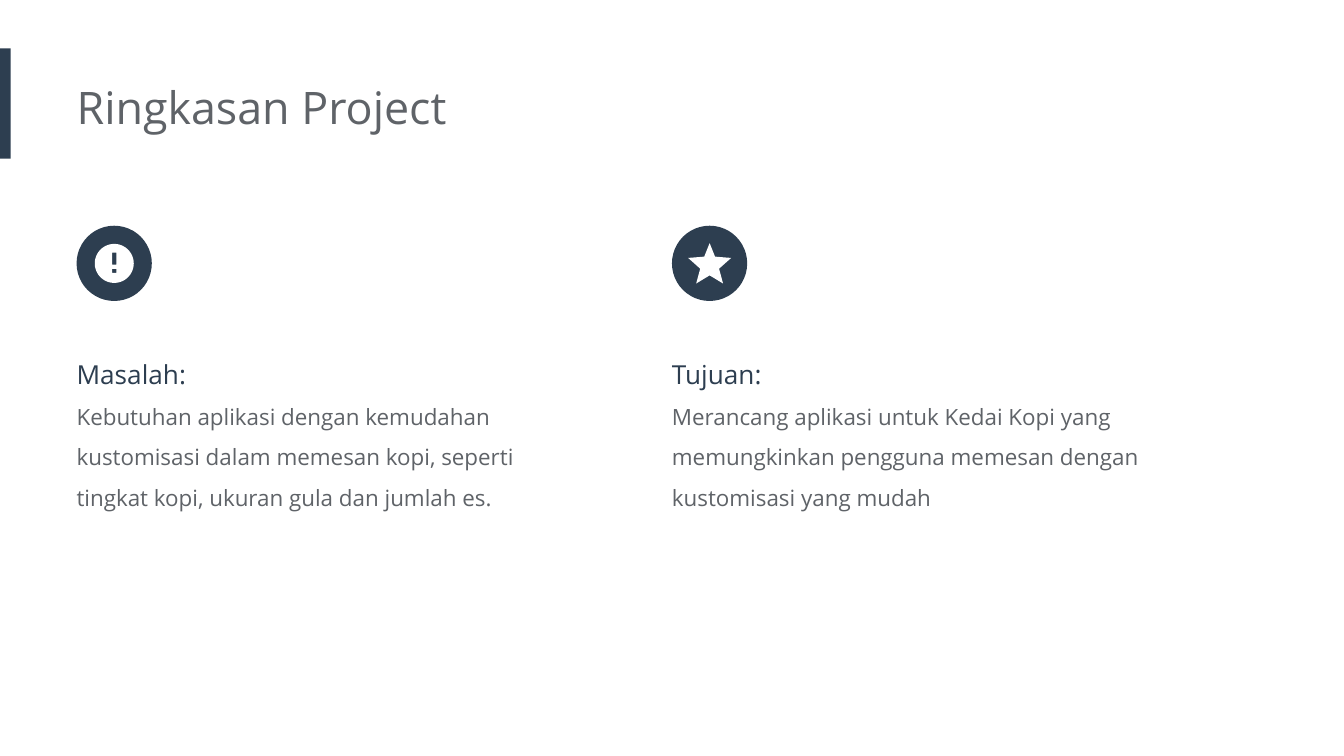
from dataclasses import dataclass
from math import cos, pi, sin

from pptx import Presentation
from pptx.dml.color import RGBColor
from pptx.enum.shapes import MSO_SHAPE
from pptx.util import Inches, Pt

RECTANGLE = MSO_SHAPE.RECTANGLE
OVAL = MSO_SHAPE.OVAL


@dataclass(frozen=True)
class Theme:
    navy: RGBColor = RGBColor(0x2D, 0x3E, 0x50)
    gray: RGBColor = RGBColor(0x5F, 0x63, 0x68)
    white: RGBColor = RGBColor(0xFF, 0xFF, 0xFF)
    font: str = "Open Sans"
    title_size: int = 24
    heading_size: int = 14
    body_size: int = 12


THEME = Theme()
BLANK_LAYOUT = 6
SLIDE_WIDTH = 10
SLIDE_HEIGHT = SLIDE_WIDTH * 9 / 16
LEFT_COLUMN = 0.57
RIGHT_COLUMN = 5
BADGE_TOP = 1.68
BADGE_SIZE = 0.56
COLUMN_TOP = 2.45
COLUMN_WIDTH = 3.77


def paint(shape, color):
    shape.shadow.inherit = False
    shape.fill.solid()
    shape.fill.fore_color.rgb = color
    shape.line.fill.background()


def add_block(slide, kind, left, top, width, height):
    shape = slide.shapes.add_shape(
        kind, Inches(left), Inches(top), Inches(width), Inches(height)
    )
    paint(shape, THEME.navy)


def add_text(slide, left, top, width, height, lines, spacing=1.0):
    box = slide.shapes.add_textbox(
        Inches(left), Inches(top), Inches(width), Inches(height)
    )
    frame = box.text_frame
    frame.word_wrap = True
    frame.margin_left = 0
    frame.margin_top = frame.margin_right = frame.margin_bottom = Inches(0.1)
    for index, (text, size, color) in enumerate(lines):
        paragraph = frame.add_paragraph() if index else frame.paragraphs[0]
        paragraph.line_spacing = spacing
        run = paragraph.add_run()
        run.text = text
        run.font.name = THEME.font
        run.font.size = Pt(size)
        run.font.color.rgb = color


def star_contours():
    right_half = [
        (0, -0.15), (0.04, -0.05), (0.16, -0.04),
        (0.07, 0.04), (0.1, 0.15), (0, 0.09),
    ]
    left_half = [(-x, y) for x, y in reversed(right_half[1:-1])]
    return [right_half + left_half]


def bar_contour(top, bottom):
    half_width = 0.03 / 2
    return [
        (half_width, top), (half_width, bottom),
        (-half_width, bottom), (-half_width, top),
    ]


def alert_contours():
    radius = 0.29 / 2
    steps = 72
    angles = [2 * pi * step / steps for step in range(steps)]
    disc = [(radius * sin(angle), -radius * cos(angle)) for angle in angles]
    return [bar_contour(-0.08, 0.01), bar_contour(0.04, 0.07), disc]


def add_icon(slide, center_x, center_y, contours):
    placed = [
        [(Inches(center_x + x), Inches(center_y + y)) for x, y in contour]
        for contour in contours
    ]
    builder = slide.shapes.build_freeform(*placed[0][0])
    builder.add_line_segments(placed[0][1:], close=True)
    for contour in placed[1:]:
        builder.move_to(*contour[0])
        builder.add_line_segments(contour[1:], close=True)
    paint(builder.convert_to_shape(), THEME.white)


def add_column(slide, left, height, contours, heading, body):
    add_block(slide, OVAL, left, BADGE_TOP, BADGE_SIZE, BADGE_SIZE)
    radius = BADGE_SIZE / 2
    add_icon(slide, left + radius, BADGE_TOP + radius, contours)
    lines = [
        (heading, THEME.heading_size, THEME.navy),
        (body, THEME.body_size, THEME.gray),
    ]
    add_text(slide, left, COLUMN_TOP, COLUMN_WIDTH, height, lines, 1.5)


def main():
    presentation = Presentation()
    presentation.slide_width = Inches(SLIDE_WIDTH)
    presentation.slide_height = Inches(SLIDE_HEIGHT)
    slide = presentation.slides.add_slide(presentation.slide_layouts[BLANK_LAYOUT])

    add_block(slide, RECTANGLE, 0, 0.36, 0.08, 0.82)
    title = [("Ringkasan Project", THEME.title_size, THEME.gray)]
    add_text(slide, LEFT_COLUMN, 0.49, 6.73, 0.61, title)
    add_column(
        slide, LEFT_COLUMN, 1.36, alert_contours(), "Masalah:",
        "Kebutuhan aplikasi dengan kemudahan kustomisasi dalam memesan kopi, "
        "seperti tingkat kopi, ukuran gula dan jumlah es.",
    )
    add_column(
        slide, RIGHT_COLUMN, 1.67, star_contours(), "Tujuan:",
        "Merancang aplikasi untuk Kedai Kopi yang memungkinkan pengguna "
        "memesan dengan kustomisasi yang mudah",
    )
    presentation.save("out.pptx")


if __name__ == "__main__":
    main()
